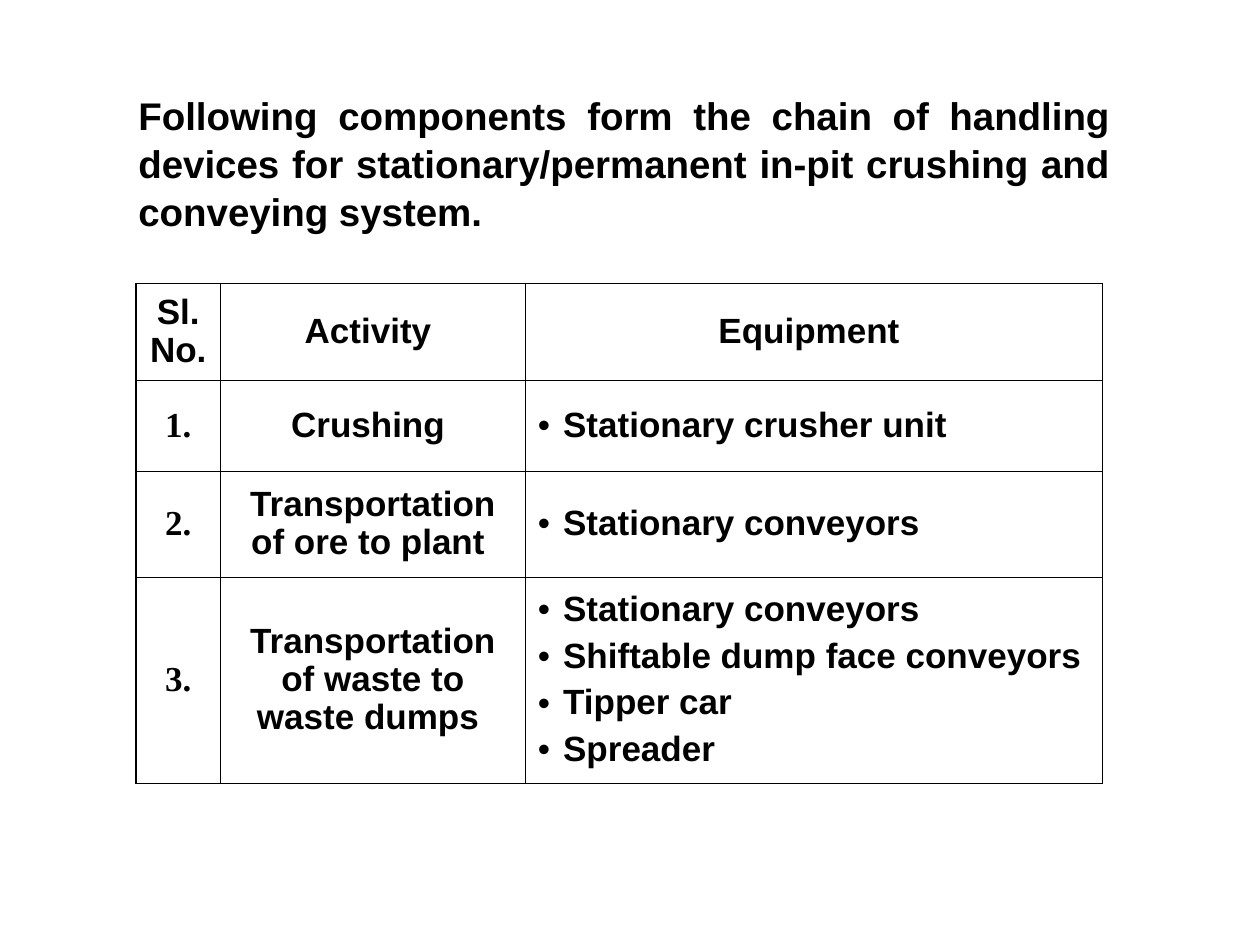
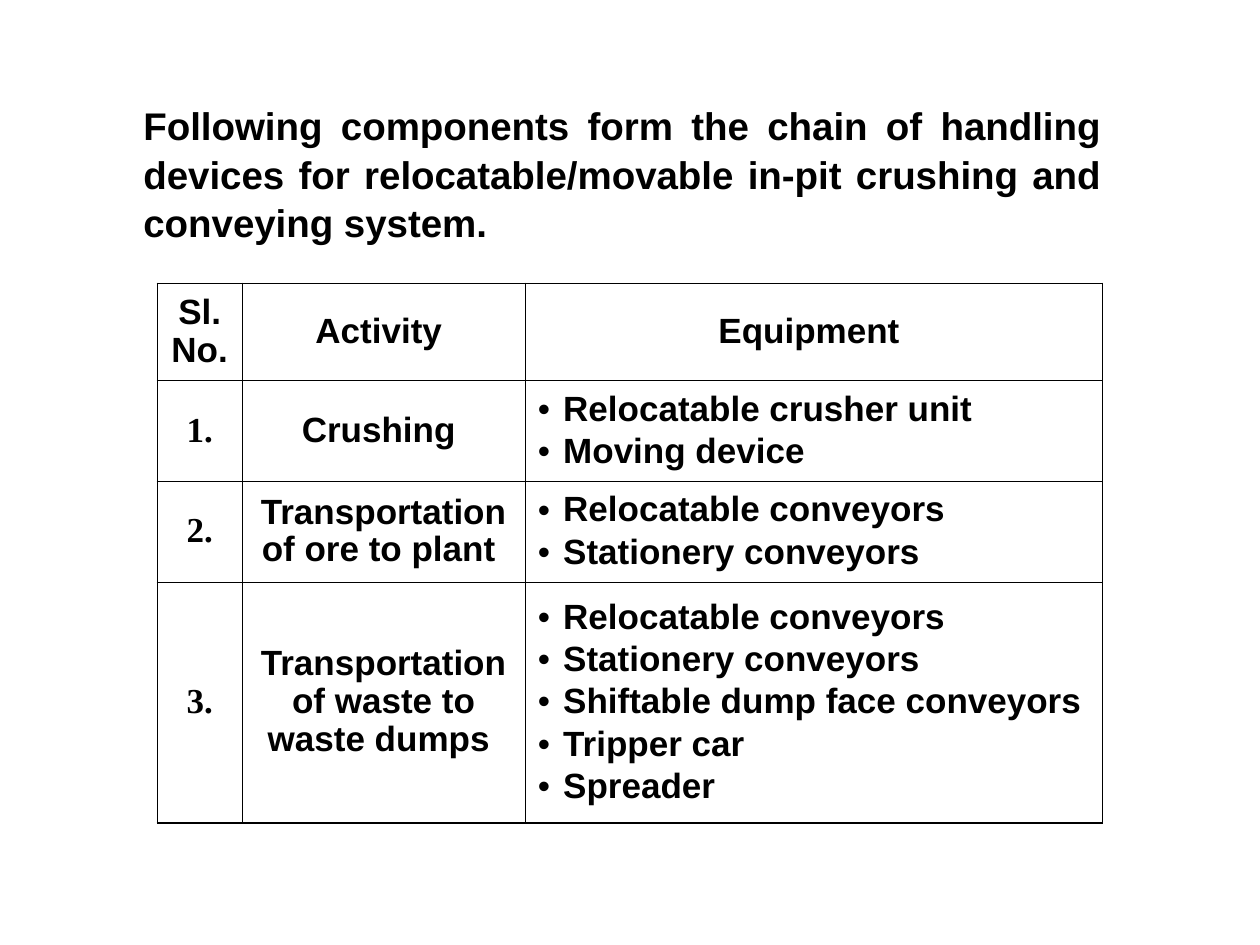
import dataclasses

import lxml.etree
import pptx
import pptx.dml.color
import pptx.enum.text
import pptx.oxml.ns
import pptx.util

Inches = pptx.util.Inches
Pt = pptx.util.Pt
Align = pptx.enum.text.PP_ALIGN
qn = pptx.oxml.ns.qn


@dataclasses.dataclass(frozen=True)
class Theme:
    ink: str = "000000"
    sans: str = "Arial"
    serif: str = "Times New Roman"
    lead_size: int = 22
    cell_size: int = 20
    lead_pitch: float = 1.04
    cell_pitch: float = 0.97
    cell_gap: float = 5
    thick: float = 1.08
    thin: float = 0.45
    indent: float = 0.2


THEME = Theme()
HEADS = ["Sl. No.", "Activity ", "Equipment "]
TASKS = [
    "Crushing ",
    "Transportation of ore to plant ",
    "Transportation of waste to waste dumps ",
]


def style(para, face, size, align, pitch, gap):
    para.alignment = align
    para.line_spacing = pitch
    para.space_before = Pt(gap)
    font = para.font
    font.name = face
    font.size = Pt(size)
    font.bold = True
    font.color.rgb = pptx.dml.color.RGBColor.from_string(THEME.ink)


def add_ink(parent):
    lxml.etree.SubElement(parent, qn("a:srgbClr"), val=THEME.ink)


def add_bullet(para):
    props = para._p.get_or_add_pPr()
    indent = Inches(THEME.indent)
    props.set("marL", str(indent))
    props.set("indent", str(-indent))
    add_ink(lxml.etree.SubElement(props, qn("a:buClr")))
    lxml.etree.SubElement(props, qn("a:buFont"), typeface=THEME.sans)
    lxml.etree.SubElement(props, qn("a:buChar"), char="•")


def add_lead(slide, kind, left, top, width, gap):
    box = slide.shapes.add_textbox(
        Inches(left), Inches(top), Inches(width), Inches(1.2)
    )
    box.text_frame.word_wrap = True
    para = box.text_frame.paragraphs[0]
    para.text = (
        "Following components form the chain of handling devices for "
        f"{kind} in-pit crushing and conveying system."
    )
    style(para, THEME.sans, THEME.lead_size, Align.JUSTIFY, THEME.lead_pitch, gap)


def add_edges(cell, outer):
    props = cell._tc.get_or_add_tcPr()
    for side in "LRTB":
        width = THEME.thick if side in outer else THEME.thin
        line = lxml.etree.SubElement(props, qn(f"a:ln{side}"), w=str(Pt(width)))
        add_ink(lxml.etree.SubElement(line, qn("a:solidFill")))


def fill_cell(cell, lines, outer, face=THEME.sans, gap=THEME.cell_gap, listed=False):
    add_edges(cell, outer)
    cell.fill.background()
    cell.vertical_anchor = pptx.enum.text.MSO_ANCHOR.MIDDLE
    cell.margin_left = cell.margin_right = Inches(0.1)
    cell.margin_top = cell.margin_bottom = Inches(0.05)
    frame = cell.text_frame
    frame.text = "\n".join(lines)
    for para in frame.paragraphs:
        if listed:
            add_bullet(para)
        align = Align.LEFT if listed else Align.CENTER
        style(para, face, THEME.cell_size, align, THEME.cell_pitch, gap)


def add_grid(slide, left, widths, heights, gear, gap):
    frame = slide.shapes.add_table(
        len(heights), len(widths), Inches(left), Inches(2.25),
        Inches(sum(widths)), Inches(sum(heights)),
    )
    table = frame.table
    table.first_row = table.horz_banding = False
    for col, width in zip(table.columns, widths):
        col.width = Inches(width)
    for row, height in zip(table.rows, heights):
        row.height = Inches(height)
    for row in range(len(heights)):
        edge = "T" if row == 0 else "B" if row == len(heights) - 1 else ""
        cells = table.rows[row].cells
        sides = ["L" + edge, edge, "R" + edge]
        if row == 0:
            for cell, head, outer in zip(cells, HEADS, sides):
                fill_cell(cell, [head], outer)
        else:
            fill_cell(cells[0], [f"{row}."], sides[0], face=THEME.serif)
            fill_cell(cells[1], [TASKS[row - 1]], sides[1])
            fill_cell(cells[2], gear[row - 1], sides[2], gap=gap, listed=True)


def add_page(deck, lead, grid):
    slide = deck.slides.add_slide(deck.slide_layouts[6])
    add_lead(slide, *lead)
    add_grid(slide, *grid)


def main():
    deck = pptx.Presentation()
    deck.slide_width = Inches(10)
    deck.slide_height = Inches(7.5)
    fixed_gear = [
        ["Stationary crusher unit"],
        ["Stationary conveyors"],
        ["Stationary conveyors", "Shiftable dump face conveyors",
         "Tipper car", "Spreader"],
    ]
    add_page(
        deck,
        ("stationary/permanent", 1, 0.67, 7.91, 13.8),
        (1.08, [0.67, 2.42, 4.58], [0.77, 0.72, 0.84, 1.64], fixed_gear, 5),
    )
    belts = ["Relocatable conveyors", "Stationery conveyors"]
    moving_gear = [
        ["Relocatable crusher unit", "Moving device"],
        belts,
        belts + ["Shiftable dump face conveyors", "Tripper car", "Spreader"],
    ]
    add_page(
        deck,
        ("relocatable/movable", 1.04, 0.75, 7.8, 5.5),
        (1.25, [0.67, 2.25, 4.58], [0.77, 0.8, 0.8, 1.91], moving_gear, 2.5),
    )
    deck.save("out.pptx")


if __name__ == "__main__":
    main()
